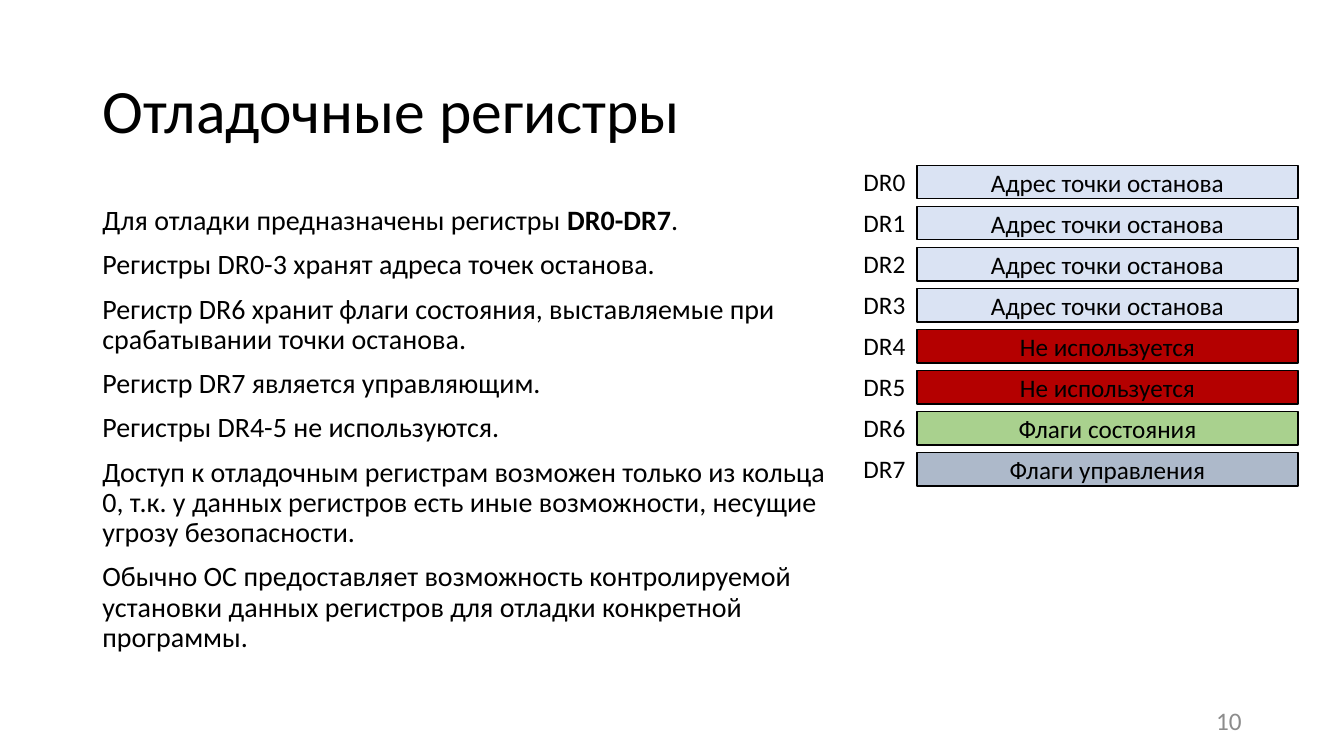
from dataclasses import dataclass
from typing import NamedTuple

from pptx import Presentation
from pptx.dml.color import RGBColor as RGB
from pptx.enum.shapes import MSO_SHAPE as SHAPE
from pptx.enum.text import MSO_ANCHOR as ANCHOR, PP_ALIGN as ALIGN
from pptx.util import Cm, Pt


@dataclass(frozen=True)
class Theme:
    font: str = "Calibri"
    title: int = 44
    body: int = 20
    small: int = 18
    ink: str = "000000"
    gray: str = "8C8C8C"
    address: str = "DAE3F3"
    unused: str = "B40000"
    state: str = "A9D18E"
    control: str = "ADB9CA"


class Box(NamedTuple):
    """A region of the slide, in centimetres."""
    left: float
    top: float
    width: float
    height: float

    def place(self):
        return [Cm(side) for side in self]


THEME = Theme()
BODY = [
    ["Для отладки предназначены регистры ", "DR0-DR7", "."],
    ["Регистры DR0-3 хранят адреса точек останова."],
    ["Регистр DR6 хранит флаги состояния, выставляемые при срабатывании точки останова."],
    ["Регистр DR7 является управляющим."],
    ["Регистры DR4-5 не используются."],
    ["Доступ к отладочным регистрам возможен только из кольца 0, т.к. у данных "
     "регистров есть иные возможности, несущие угрозу безопасности."],
    ["Обычно ОС предоставляет возможность контролируемой установки данных "
     "регистров для отладки конкретной программы."],
]
BANK = (
    [("Адрес точки останова", THEME.address)] * 4
    + [("Не используется", THEME.unused)] * 2
    + [("Флаги состояния", THEME.state), ("Флаги управления", THEME.control)]
)


def style(run, size, color=THEME.ink):
    run.font.name = THEME.font
    run.font.size = Pt(size)
    run.font.color.rgb = RGB.from_string(color)


def write(shape, text, size, color=THEME.ink, align=ALIGN.LEFT, anchor=ANCHOR.MIDDLE):
    """Put one styled line of text in a shape and return its paragraph."""
    frame = shape.text_frame
    frame.word_wrap = True
    frame.vertical_anchor = anchor
    frame.text = text
    line = frame.paragraphs[0]
    line.alignment = align
    style(line.runs[0], size, color)
    return line


def add_title(slide, box):
    shape = slide.shapes.add_textbox(*box.place())
    write(shape, "Отладочные регистры", THEME.title).line_spacing = 0.9


def add_body(slide, box):
    frame = slide.shapes.add_textbox(*box.place()).text_frame
    frame.word_wrap = True
    for row, parts in enumerate(BODY):
        line = frame.add_paragraph() if row else frame.paragraphs[0]
        line.line_spacing = 0.9
        line.space_before = Pt(10 if row else 0)
        for part in parts:
            run = line.add_run()
            run.text = part
            style(run, THEME.body)
            run.font.bold = part == "DR0-DR7"


def add_bank(slide, box):
    """Stack the registers evenly, each with its name on the left."""
    tag, high = 1.6, 0.84
    pitch = (box.height - high) / (len(BANK) - 1)
    for row, (text, fill) in enumerate(BANK):
        top = box.top + row * pitch
        cell = Box(box.left + tag, top, box.width - tag, high)
        bar = slide.shapes.add_shape(SHAPE.RECTANGLE, *cell.place())
        bar.shadow.inherit = False
        bar.fill.solid()
        bar.fill.fore_color.rgb = RGB.from_string(fill)
        bar.line.color.rgb = RGB.from_string(THEME.ink)
        bar.line.width = Pt(1)
        write(bar, text, THEME.small, align=ALIGN.CENTER)

        name = slide.shapes.add_textbox(*Box(box.left, top - 0.1, tag, 1.02).place())
        write(name, f"DR{row}", THEME.small, anchor=ANCHOR.TOP)
        name.text_frame.word_wrap = False


def add_number(slide, box):
    shape = slide.shapes.add_textbox(*box.place())
    write(shape, "10", THEME.small, THEME.gray, ALIGN.RIGHT)


def main():
    deck = Presentation()
    deck.slide_width, deck.slide_height = Cm(33.87), Cm(19.05)
    slide = deck.slides.add_slide(deck.slide_layouts[6])
    add_title(slide, Box(2.33, 1.01, 29.21, 3.68))
    add_number(slide, Box(23.92, 17.66, 7.62, 1.01))
    add_body(slide, Box(2.33, 5.08, 19, 12.09))
    add_bank(slide, Box(21.51, 4.17, 11.2, 8.08))
    deck.save("out.pptx")


if __name__ == "__main__":
    main()
